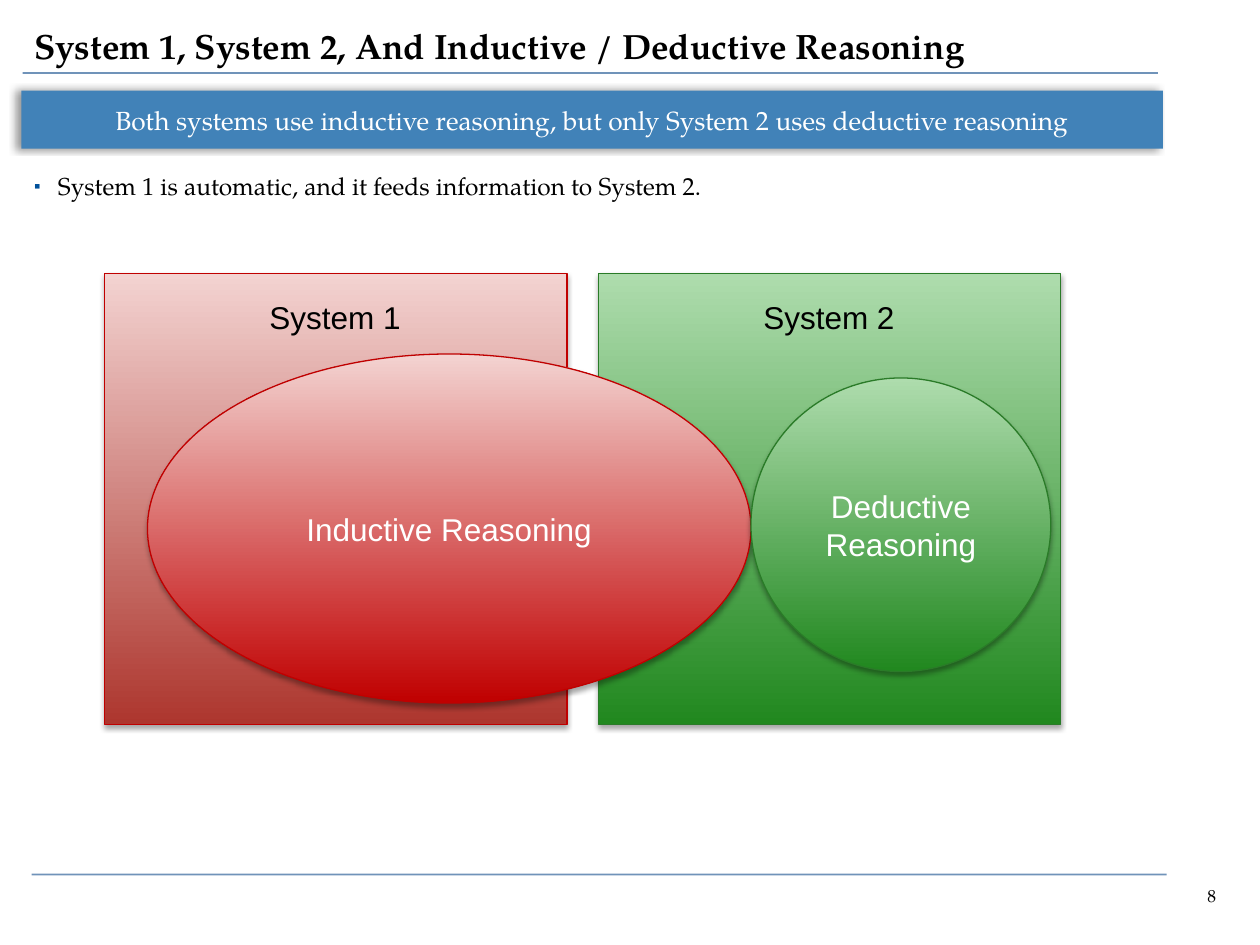
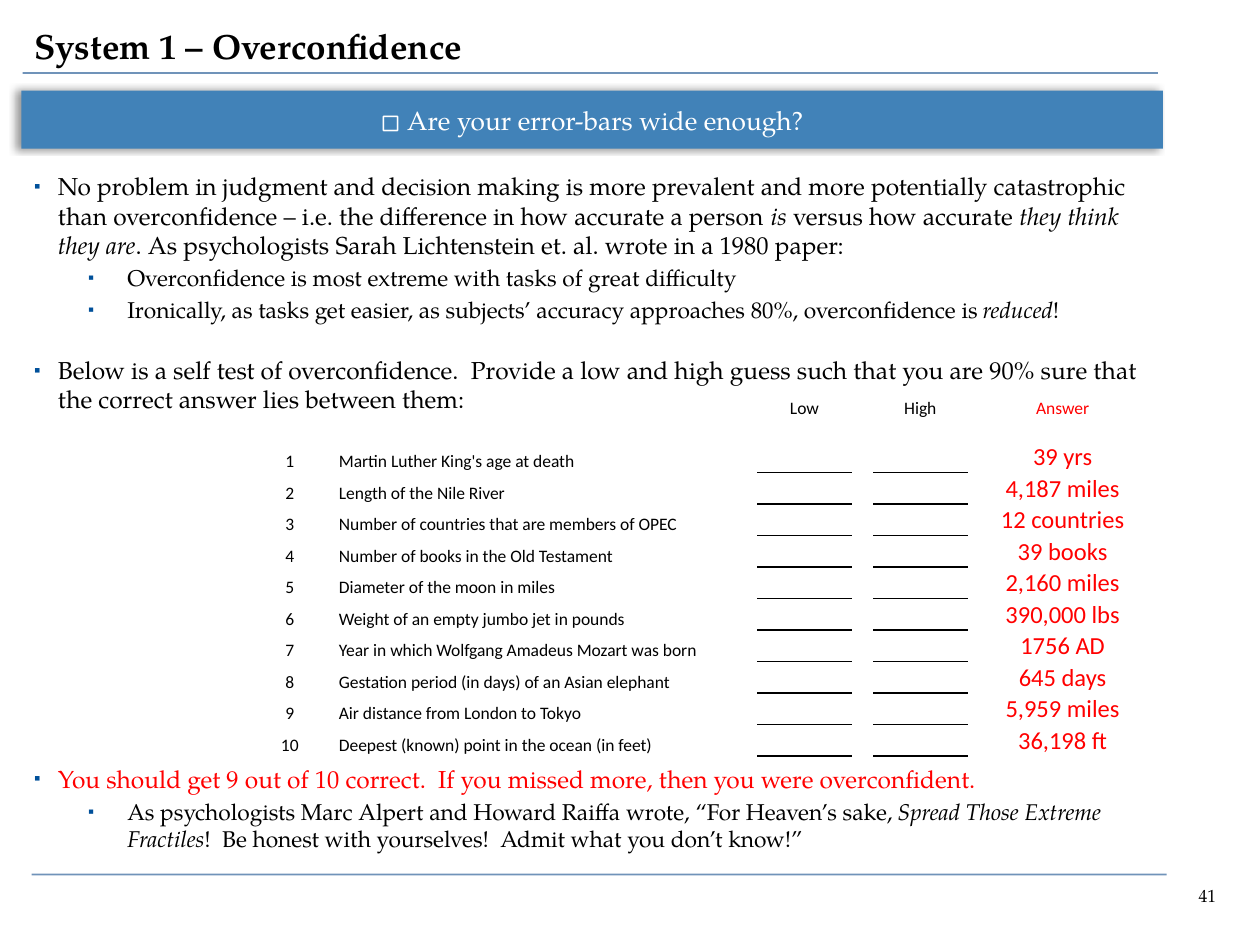
from dataclasses import dataclass

from lxml.etree import SubElement
from pptx import Presentation
from pptx.dml.color import RGBColor
from pptx.enum.shapes import MSO_CONNECTOR, MSO_SHAPE as Preset
from pptx.enum.text import MSO_ANCHOR as Anchor, MSO_AUTO_SIZE as AutoSize, PP_ALIGN as Align
from pptx.oxml.ns import qn
from pptx.util import Inches, Pt

SERIF, SANS, TABLE_FONT = "TeX Gyre Pagella", "Arial", "Calibri"
BLACK, WHITE, RED = "000000", "FFFFFF", "FF0000"
BANNER_BLUE, RULE_BLUE, BULLET_BLUE = "4182B8", "124B8B", "00509A"
NO_STYLE_NO_GRID = "{2D5ABB26-0587-4C30-8999-92F81FD0307C}"
TWO_CONTENT_LAYOUT = 3


@dataclass
class Shadow:
    """Blur and distance in points, direction in degrees, opacity in percent."""
    opacity: float
    blur: float
    distance: float
    direction: float


@dataclass
class Bullet:
    text: str
    level: int = 0
    color: str = BLACK
    space_before: float = 0


@dataclass
class Panel:
    preset: Preset
    box: tuple
    dark: str
    light: str
    outline: str
    text: str = ""


@dataclass
class Question:
    text: str
    answer: str


BANNER_SHADOW = Shadow(40, 4, 3, 180)
PANEL_SHADOW = Shadow(35, 3.1, 1.8, 90)
BULLET_LEVELS = ((0.19, -0.19, 14), (0.74, -0.31, 13))  # margin, indent, size
SUB_GAP = 2.6

REDS = ("C00000", "F3D3D1", "C00000")
GREENS = ("21881F", "AEDCAD", "2A7B28")
PANELS = (
    Panel(Preset.RECTANGLE, (0.83, 2.17, 3.67, 3.58), "AD362E", *REDS[1:]),
    Panel(Preset.RECTANGLE, (4.75, 2.17, 3.67, 3.58), *GREENS),
    Panel(Preset.OVAL, (1.17, 2.81, 4.79, 2.77), *REDS, "Inductive Reasoning"),
    Panel(Preset.OVAL, (5.96, 3, 2.38, 2.33), *GREENS, "Deductive Reasoning"),
)
SYSTEM_LABELS = (("System 1", 2.04), ("System 2", 5.96))

OVERCONFIDENCE_BULLETS = (
    Bullet("No problem in judgment and decision making is more prevalent and more potentially "
           "catastrophic than overconfidence – i.e. the difference in how accurate a person *is* "
           "versus how accurate *they think they are*. As psychologists Sarah Lichtenstein et. al. "
           "wrote in a 1980 paper:"),
    Bullet("Overconfidence is most extreme with tasks of great difficulty", 1, space_before=SUB_GAP),
    Bullet("Ironically, as tasks get easier, as subjects’ accuracy approaches 80%, "
           "overconfidence is *reduced*!", 1, space_before=SUB_GAP),
    Bullet("Below is a self test of overconfidence.  Provide a low and high guess such that you "
           "are 90% sure that the correct answer lies between them:", space_before=18),
    Bullet("You should get 9 out of 10 correct.  If you missed more, then you were overconfident.",
           color=RED, space_before=200),
    Bullet("As psychologists Marc Alpert and Howard Raiffa wrote, “For Heaven’s sake, *Spread Those "
           "Extreme Fractiles*!  Be honest with yourselves!  Admit what you don’t know!”", 1,
           space_before=SUB_GAP),
)
QUESTIONS = (
    Question("Martin Luther King's age at death", "39 yrs"),
    Question("Length of the Nile River", "4,187 miles"),
    Question("Number of countries that are members of OPEC", "12 countries"),
    Question("Number of books in the Old Testament", "39 books"),
    Question("Diameter of the moon in miles", "2,160 miles"),
    Question("Weight of an empty jumbo jet in pounds", "390,000 lbs"),
    Question("Year in which Wolfgang Amadeus Mozart was born", "1756 AD"),
    Question("Gestation period (in days) of an Asian elephant", "645 days"),
    Question("Air distance from London to Tokyo", "5,959 miles"),
    Question("Deepest (known) point in the ocean (in feet)", "36,198 ft"),
)
COLUMN_WIDTHS = (0.76, 2.81, 0.52, 0.75, 0.17, 0.75, 0.17, 1.17)
NUMBER, QUESTION, OVERFLOW, LOW, HIGH, ANSWER = 0, 1, 2, 3, 5, 7
HEADER_ROWS = (0.25, 0.17)
ROW_HEIGHT = 0.25
LONGEST_IN_COLUMN = 40


def rgb(color: str) -> RGBColor:
    return RGBColor.from_string(color)


def add_element(parent, tag: str, **attributes):
    return SubElement(parent, qn(tag), {key: str(value) for key, value in attributes.items()})


def place(shape, left: float, top: float, width: float, height: float) -> None:
    shape.left, shape.top, shape.width, shape.height = map(Inches, (left, top, width, height))


def write(paragraph, text: str, *, size: float, color: str = BLACK, font: str = SERIF,
          bold: bool = False, align: Align = Align.LEFT, space_before: float = 0) -> None:
    """Fill a paragraph; words between asterisks become italic."""
    paragraph.alignment = align
    paragraph.space_before = Pt(space_before)
    for index, piece in enumerate(text.split("*")):
        run = paragraph.add_run()
        run.text = piece
        run.font.size, run.font.name = Pt(size), font
        run.font.bold, run.font.italic = bold, index % 2 == 1
        run.font.color.rgb = rgb(color)


def set_indent(paragraph, margin: float, indent: float):
    properties = paragraph._p.get_or_add_pPr()
    properties.set("marL", str(Inches(margin)))
    properties.set("indent", str(Inches(indent)))
    return properties


def cast_shadow(shape, shadow: Shadow) -> None:
    shape.shadow.inherit = False
    effects = shape._element.spPr.find(qn("a:effectLst"))
    outer = add_element(effects, "a:outerShdw", blurRad=Pt(shadow.blur), dist=Pt(shadow.distance),
                        dir=shadow.direction * 60000, rotWithShape=0)
    add_element(add_element(outer, "a:srgbClr", val=BLACK), "a:alpha", val=shadow.opacity * 1000)


def add_rule(slide, left: float, top: float) -> None:
    rule = slide.shapes.add_connector(MSO_CONNECTOR.STRAIGHT, Inches(left), Inches(top),
                                      Inches(left + 9.01), Inches(top))
    rule.line.width = Pt(1)
    rule.line.color.rgb = rgb(RULE_BLUE)
    color = rule.line._ln.find(".//" + qn("a:srgbClr"))
    add_element(color, "a:alpha", val=60000)
    add_element(rule._element.spPr, "a:effectLst")


def add_label(slide, box: tuple, text: str, *, anchor: Anchor = Anchor.TOP, **text_format) -> None:
    label = slide.shapes.add_textbox(*map(Inches, box))
    label.text_frame.word_wrap = False
    label.text_frame.vertical_anchor = anchor
    write(label.text_frame.paragraphs[0], text, **text_format)


def fill_title(slide, text: str) -> None:
    title = slide.shapes.title
    place(title, 0.17, 0.15, 9.65, 0.42)
    title.text_frame.auto_size = AutoSize.NONE
    title.text_frame.vertical_anchor = Anchor.MIDDLE
    write(title.text_frame.paragraphs[0], text, size=20, bold=True)


def fill_banner(banner, text: str) -> None:
    place(banner, 0.17, 0.72, 9.06, 0.46)
    banner.fill.solid()
    banner.fill.fore_color.rgb = rgb(BANNER_BLUE)
    banner.line.fill.background()
    cast_shadow(banner, BANNER_SHADOW)
    banner.text_frame.auto_size = AutoSize.NONE
    banner.text_frame.vertical_anchor = Anchor.MIDDLE
    paragraph = banner.text_frame.paragraphs[0]
    add_element(set_indent(paragraph, 0, 0), "a:buNone")
    write(paragraph, text, size=15, color=WHITE, align=Align.CENTER)


def fill_body(body, bullets: tuple) -> None:
    place(body, 0.17, 1.31, 9, 5.27)
    frame = body.text_frame
    frame.auto_size = AutoSize.NONE
    frame.vertical_anchor = Anchor.TOP
    for index, bullet in enumerate(bullets):
        paragraph = frame.add_paragraph() if index else frame.paragraphs[0]
        paragraph.level = bullet.level
        margin, indent, size = BULLET_LEVELS[bullet.level]
        properties = set_indent(paragraph, margin, indent)
        add_element(add_element(properties, "a:buClr"), "a:srgbClr", val=BULLET_BLUE)
        add_element(properties, "a:buSzPct", val=75000)
        add_element(properties, "a:buChar", char="▪")
        write(paragraph, bullet.text, size=size, color=bullet.color,
              space_before=bullet.space_before)


def add_content_slide(presentation, number: int, title: str, banner: str, bullets: tuple):
    slide = presentation.slides.add_slide(presentation.slide_layouts[TWO_CONTENT_LAYOUT])
    add_label(slide, (9.08, 7.02, 0.67, 0.22), str(number), anchor=Anchor.BOTTOM,
              size=10, align=Align.RIGHT)
    add_rule(slide, 0.18, 0.58)
    add_rule(slide, 0.25, 6.94)
    fill_title(slide, title)
    fill_banner(slide.placeholders[1], banner)
    fill_body(slide.placeholders[2], bullets)
    return slide


def add_panel(slide, panel: Panel) -> None:
    shape = slide.shapes.add_shape(panel.preset, *map(Inches, panel.box))
    shape.fill.gradient()
    shape.fill.gradient_angle = 90
    for stop, color in zip(shape.fill.gradient_stops, (panel.dark, panel.light)):
        stop.color.rgb = rgb(color)
    shape.line.color.rgb = rgb(panel.outline)
    shape.line.width = Pt(0.75)
    cast_shadow(shape, PANEL_SHADOW)
    if panel.text:
        shape.text_frame.vertical_anchor = Anchor.MIDDLE
        write(shape.text_frame.paragraphs[0], panel.text, size=18, color=WHITE, font=SANS,
              align=Align.CENTER)


def add_cell_border(cell, side: str) -> None:
    properties = cell._tc.get_or_add_tcPr()
    border = properties.makeelement(qn(f"a:{side}"), {"w": str(Pt(1))})
    add_element(add_element(border, "a:solidFill"), "a:srgbClr", val=BLACK)
    properties.insert(len(properties.findall(qn("a:lnT"))), border)


def write_cell(cell, text: str, *, size: float = 10, color: str = BLACK,
               align: Align = Align.CENTER) -> None:
    write(cell.text_frame.paragraphs[0], text, size=size, color=color, font=TABLE_FONT, align=align)


def add_self_test(slide) -> None:
    heights = HEADER_ROWS + (ROW_HEIGHT,) * len(QUESTIONS)
    frame = slide.shapes.add_table(len(heights), len(COLUMN_WIDTHS), Inches(1.92), Inches(3.08),
                                   Inches(sum(COLUMN_WIDTHS)), Inches(sum(heights)))
    table = frame.table
    table.first_row = table.horz_banding = False
    table._tbl.tblPr.find(qn("a:tableStyleId")).text = NO_STYLE_NO_GRID
    for column, width in zip(table.columns, COLUMN_WIDTHS):
        column.width = Inches(width)
    for row, height in zip(table.rows, heights):
        row.height = Inches(height)

    for column, text, color in ((LOW, "Low", BLACK), (HIGH, "High", BLACK), (ANSWER, "Answer", RED)):
        write_cell(table.cell(0, column), text, color=color)
    for number, question in enumerate(QUESTIONS, 1):
        row = number + len(HEADER_ROWS) - 1
        write_cell(table.cell(row, NUMBER), str(number))
        write_cell(table.cell(row, QUESTION), question.text, align=Align.LEFT)
        write_cell(table.cell(row, ANSWER), question.answer, size=14, color=RED)
        if len(question.text) > LONGEST_IN_COLUMN:
            table.cell(row, QUESTION).merge(table.cell(row, OVERFLOW))
        for column in (LOW, HIGH):
            if number > 1:
                add_cell_border(table.cell(row, column), "lnT")
            add_cell_border(table.cell(row, column), "lnB")

    for cell in table.iter_cells():
        cell.fill.background()
        cell.vertical_anchor = Anchor.BOTTOM
        cell.margin_left = cell.margin_right = cell.margin_top = Inches(0.01)
        cell.margin_bottom = 0
        if not cell.text_frame.text:
            add_element(cell.text_frame.paragraphs[0]._p, "a:endParaRPr", sz=800)


def main() -> None:
    presentation = Presentation()
    presentation.slide_width, presentation.slide_height = Inches(10), Inches(7.5)

    reasoning = add_content_slide(
        presentation, 8, "System 1, System 2, And Inductive / Deductive Reasoning",
        "Both systems use inductive reasoning, but only System 2 uses deductive reasoning",
        (Bullet("System 1 is automatic, and it feeds information to System 2."),))
    for panel in PANELS:
        add_panel(reasoning, panel)
    for text, left in SYSTEM_LABELS:
        add_label(reasoning, (left, 2.32, 1.25, 0.4), text, size=18, font=SANS)

    overconfidence = add_content_slide(
        presentation, 41, "System 1 – Overconfidence", "□ Are your error-bars wide enough?",
        OVERCONFIDENCE_BULLETS)
    add_self_test(overconfidence)

    presentation.save("out.pptx")


if __name__ == "__main__":
    main()
